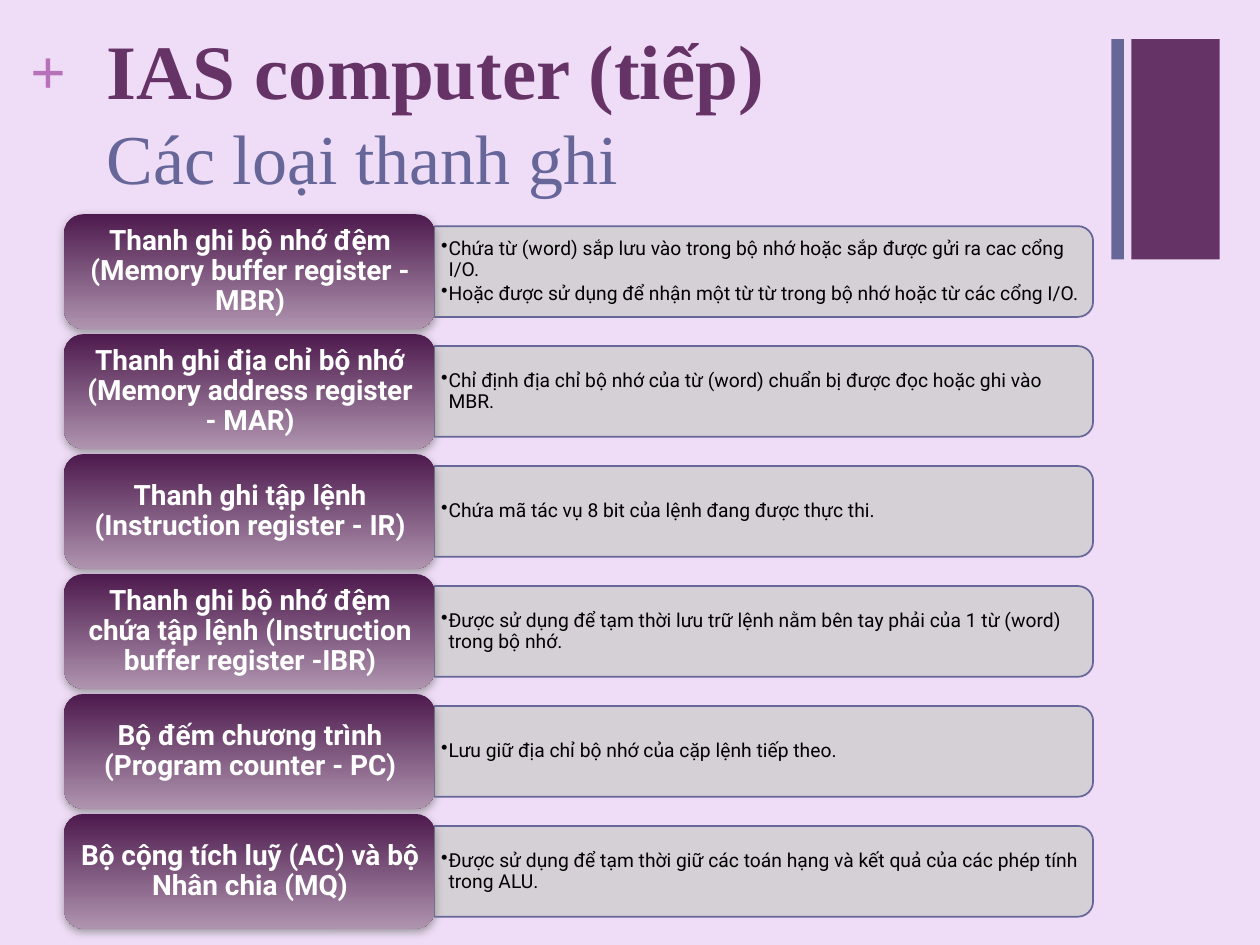
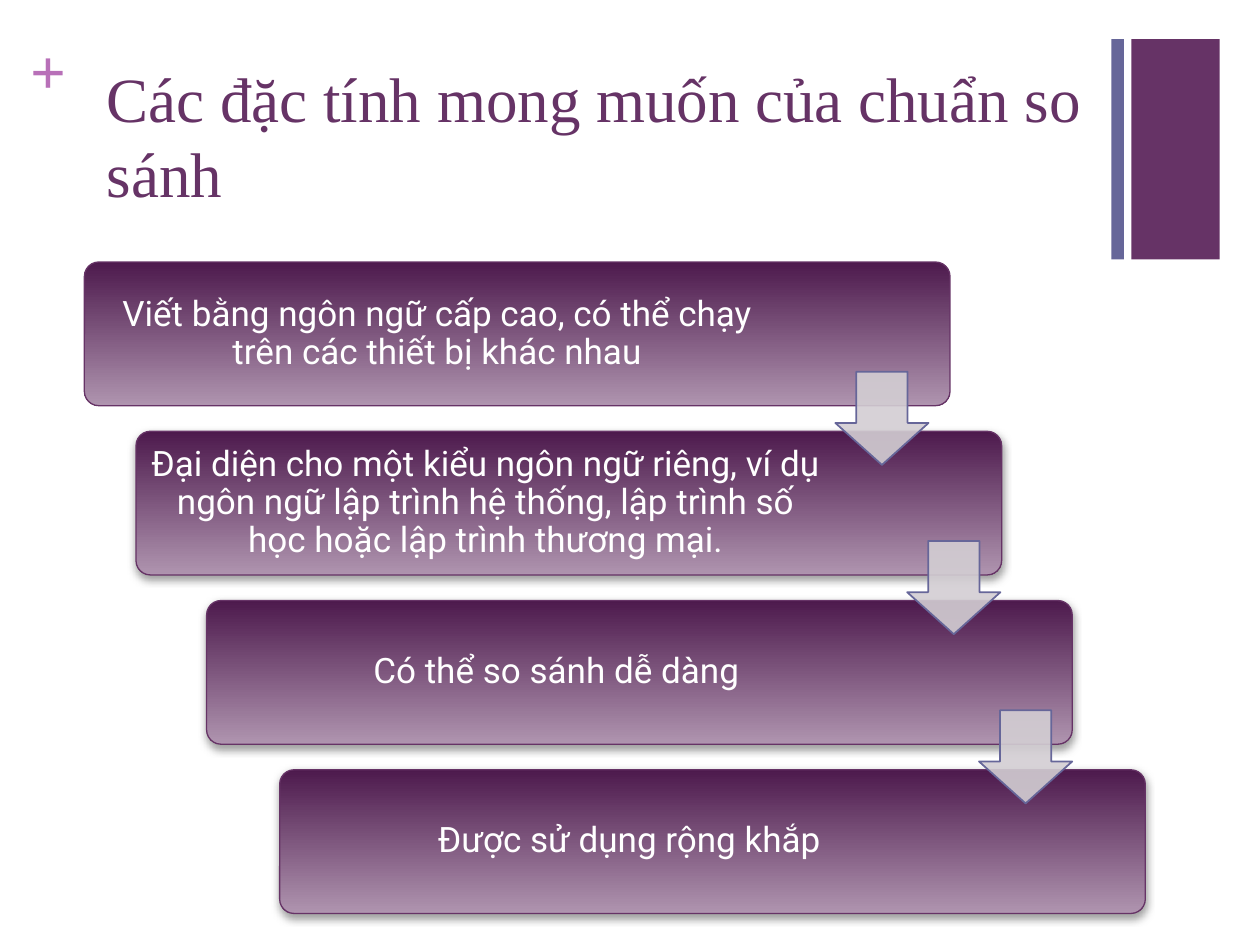
from dataclasses import dataclass
from typing import NamedTuple

from lxml.etree import SubElement
from pptx import Presentation
from pptx.dml.color import RGBColor as RGB
from pptx.enum.shapes import MSO_SHAPE as Kind
from pptx.enum.text import MSO_ANCHOR as Anchor, PP_ALIGN as Align
from pptx.oxml.ns import qn
from pptx.util import Inches, Pt


@dataclass(frozen=True)
class Theme:
    plum: str = "663366"
    slate: str = "666699"
    pink: str = "B870B8"
    lilac: str = "EFDCF7"
    dark: str = "4D1A4D"
    pale: str = "AF94AF"
    gray: str = "D3CED3"
    shade: str = "808080"
    white: str = "FFFFFF"
    black: str = "000000"
    serif: str = "Times New Roman"
    sans: str = "Roboto"
    head: int = 44
    sub: int = 40
    title: int = 36
    step: int = 20
    label: int = 16
    note: int = 11


T = Theme()


class Box(NamedTuple):
    left: float
    top: float
    width: float
    height: float

    def place(self) -> list:
        return [Inches(v) for v in self]


class Style(NamedTuple):
    size: int
    color: str
    face: str = T.sans
    bold: bool = False


class Entry(NamedTuple):
    label: str
    notes: list[str]


class Step(NamedTuple):
    left: float
    width: float
    text: str


HEAD = Style(T.head, T.plum, T.serif, True)
SUB = Style(T.sub, T.slate, T.serif)
TITLE = Style(T.title, T.plum, T.serif)
PLUS = Style(T.title, T.pink, T.serif, True)
LABEL = Style(T.label, T.white, bold=True)
NOTE = Style(T.note, T.black)
STEP = Style(T.step, T.white)

ENTRIES = [
    Entry("Thanh ghi bộ nhớ đệm (Memory buffer register - MBR)",
          ["Chứa từ (word) sắp lưu vào trong bộ nhớ hoặc sắp được gửi ra cac cổng I/O.",
           "Hoặc được sử dụng để nhận một từ từ trong bộ nhớ hoặc từ các cổng I/O."]),
    Entry("Thanh ghi địa chỉ bộ nhớ (Memory address register - MAR)",
          ["Chỉ định địa chỉ bộ nhớ của từ (word) chuẩn bị được đọc hoặc ghi vào MBR."]),
    Entry("Thanh ghi tập lệnh (Instruction register - IR)",
          ["Chứa mã tác vụ 8 bit của lệnh đang được thực thi."]),
    Entry("Thanh ghi bộ nhớ đệm chứa tập lệnh (Instruction buffer register -IBR)",
          ["Được sử dụng để tạm thời lưu trữ lệnh nằm bên tay phải của 1 từ (word) trong bộ nhớ."]),
    Entry("Bộ đếm chương trình (Program counter - PC)",
          ["Lưu giữ địa chỉ bộ nhớ của cặp lệnh tiếp theo."]),
    Entry("Bộ cộng tích luỹ (AC) và bộ Nhân chia (MQ)",
          ["Được sử dụng để tạm thời giữ các toán hạng và kết quả của các phép tính trong ALU."]),
]
STEPS = [
    Step(0.67, 5.54, "Viết bằng ngôn ngữ cấp cao, có thể chạy trên các thiết bị khác nhau"),
    Step(1.08, 5.49, "Đại diện cho một kiểu ngôn ngữ riêng, ví dụ ngôn ngữ lập trình hệ thống, "
                     "lập trình số học hoặc lập trình thương mại."),
    Step(1.64, 5.49, "Có thể so sánh dễ dàng"),
    Step(2.22, 5.49, "Được sử dụng rộng khắp"),
]


def paint(font, style: Style) -> None:
    font.size, font.bold, font.name = Pt(style.size), style.bold, style.face
    font.color.rgb = RGB.from_string(style.color)


def add_text(slide, box: Box, pad: tuple[float, float], anchor=Anchor.MIDDLE):
    frame = slide.shapes.add_textbox(*box.place()).text_frame
    frame.word_wrap = True
    frame.vertical_anchor = anchor
    frame.margin_left = frame.margin_right = Inches(pad[0])
    frame.margin_top = frame.margin_bottom = Inches(pad[1])
    return frame


def add_title(slide, box: Box, lines: list[tuple[str, Style]]) -> None:
    para = add_text(slide, box, (0.1, 0.05), Anchor.TOP).paragraphs[0]
    for i, (text, style) in enumerate(lines):
        if i:
            para.add_line_break()
        run = para.add_run()
        run.text = text
        paint(run.font, style)


def add_center(slide, box: Box, pad: tuple[float, float], text: str, style: Style) -> None:
    para = add_text(slide, box, pad).paragraphs[0]
    para.text = text
    para.alignment = Align.CENTER
    para.line_spacing = 0.9
    para.space_after = Pt(0.35 * style.size)
    paint(para.font, style)


def add_notes(slide, box: Box, notes: list[str]) -> None:
    frame = add_text(slide, box, (0.05, 0.02))
    for i, note in enumerate(notes):
        para = frame.add_paragraph() if i else frame.paragraphs[0]
        para.text = note
        para.line_spacing = 0.9
        para.space_after = Pt(0.15 * T.note)
        props = para._p.get_or_add_pPr()
        props.set("marL", str(Inches(0.06)))
        props.set("indent", str(-Inches(0.06)))
        SubElement(props, qn("a:buChar")).set("char", "•")
        paint(para.font, NOTE)


def add_form(slide, kind, box: Box, fill: str = "", line: str = "", weight: float = 1):
    form = slide.shapes.add_shape(kind, *box.place())
    form.shadow.inherit = False
    if fill:
        form.fill.solid()
        form.fill.fore_color.rgb = RGB.from_string(fill)
    if line:
        form.line.color.rgb = RGB.from_string(line)
        form.line.width = Pt(weight)
    else:
        form.line.fill.background()
    return form


def add_alpha(color, percent: int) -> None:
    SubElement(color, qn("a:alpha")).set("val", str(percent * 1000))


def add_veil(slide, kind, box: Box):
    """Draw a slightly see-through gray shape."""
    form = add_form(slide, kind, box, T.gray, T.slate)
    add_alpha(form._element.spPr.find(qn("a:solidFill"))[0], 90)
    return form


def add_panel(slide, box: Box, line: str = "", shadow: bool = True):
    """Draw a rounded plum panel that fades downwards."""
    form = add_form(slide, Kind.ROUNDED_RECTANGLE, box, line=line, weight=0.75)
    form.fill.gradient()
    form.fill.gradient_angle = 270
    for stop, color, spot in zip(form.fill.gradient_stops, (T.dark, T.pale), (0, 1)):
        stop.color.rgb = RGB.from_string(color)
        stop.position = spot
    if shadow:
        glow = SubElement(form._element.spPr.find(qn("a:effectLst")), qn("a:outerShdw"))
        for key, val in (("blurRad", Pt(5)), ("dist", Pt(2)), ("dir", 90 * 60000),
                         ("rotWithShape", 0)):
            glow.set(key, str(int(val)))
        tint = SubElement(glow, qn("a:srgbClr"))
        tint.set("val", T.shade)
        add_alpha(tint, 75)
    return form


def add_page(deck, back: str):
    """Add a slide with its background, plus sign and corner bands."""
    slide = deck.slides.add_slide(deck.slide_layouts[6])
    slide.background.fill.solid()
    slide.background.fill.fore_color.rgb = RGB.from_string(back)
    for left, width, color in ((8.98, 0.7, T.plum), (8.82, 0.1, T.slate)):
        add_form(slide, Kind.RECTANGLE, Box(left, 0.31, width, 1.75), color)
    para = add_text(slide, Box(0.24, 0.25, 0.29, 0.61), (0, 0), Anchor.TOP).paragraphs[0]
    para.text = "+"
    paint(para.font, PLUS)
    return slide


def add_registers(deck) -> None:
    slide = add_page(deck, T.lilac)
    add_title(slide, Box(0.75, 0.13, 9.06, 1.5),
              [("IAS computer (tiếp)", HEAD), ("Các loại thanh ghi", SUB)])
    first, last = 1.7, 6.46
    pitch = (last - first) / (len(ENTRIES) - 1)
    thick, length = 0.72, 5.23
    for i, entry in enumerate(ENTRIES):
        top = first + i * pitch
        mid = top + 0.455
        body = add_veil(slide, Kind.ROUND_2_SAME_RECTANGLE,
                        Box(5.7, mid - length / 2, thick, length))
        body.rotation = 90
        add_notes(slide, Box(3.45, mid - 0.325, 5.19, 0.65), entry.notes)
        add_panel(slide, Box(0.51, top, 2.94, 0.91))
        add_center(slide, Box(0.56, top + 0.045, 2.85, 0.82), (0.07, 0.03), entry.label, LABEL)


def add_criteria(deck) -> None:
    slide = add_page(deck, T.white)
    add_title(slide, Box(0.75, 0.42, 8.26, 1.22),
              [("Các đặc tính mong muốn của chuẩn so sánh", TITLE)])
    first, last = 2.08, 6.11
    pitch = (last - first) / (len(STEPS) - 1)
    for i, step in enumerate(STEPS):
        top = first + i * pitch
        panel = add_panel(slide, Box(step.left, top, 6.87, 1.14), T.plum, shadow=i > 0)
        panel.adjustments[0] = 0.1
        add_center(slide, Box(step.left + 0.03, top + 0.035, step.width, 1.07),
                   (0.08, 0.08), step.text, STEP)
    for i in range(len(STEPS) - 1):
        arrow = add_veil(slide, Kind.DOWN_ARROW,
                         Box(6.63 + i * 0.57, first + 0.87 + i * pitch, 0.74, 0.74))
        arrow.adjustments[0], arrow.adjustments[1] = 0.55, 0.45


def main() -> None:
    deck = Presentation()
    deck.slide_width, deck.slide_height = Inches(10), Inches(7.5)
    add_registers(deck)
    add_criteria(deck)
    deck.save("out.pptx")


if __name__ == "__main__":
    main()
